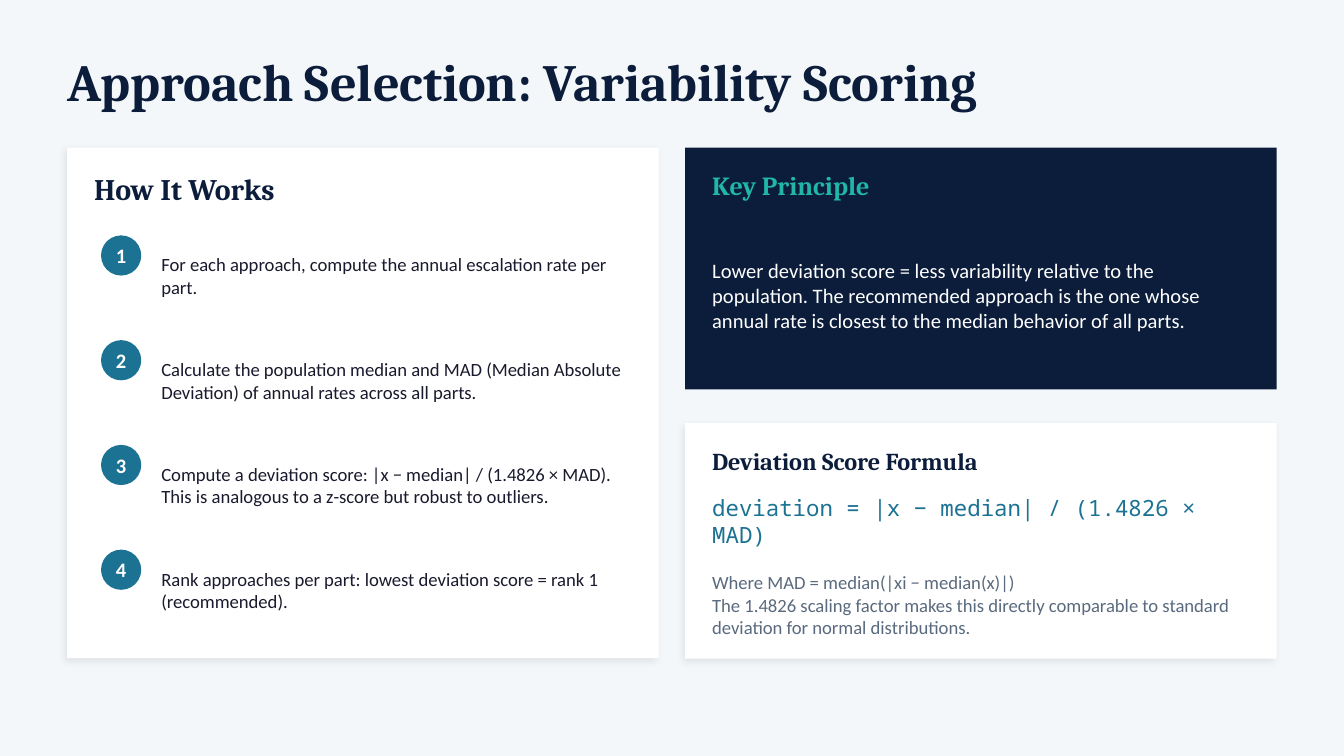
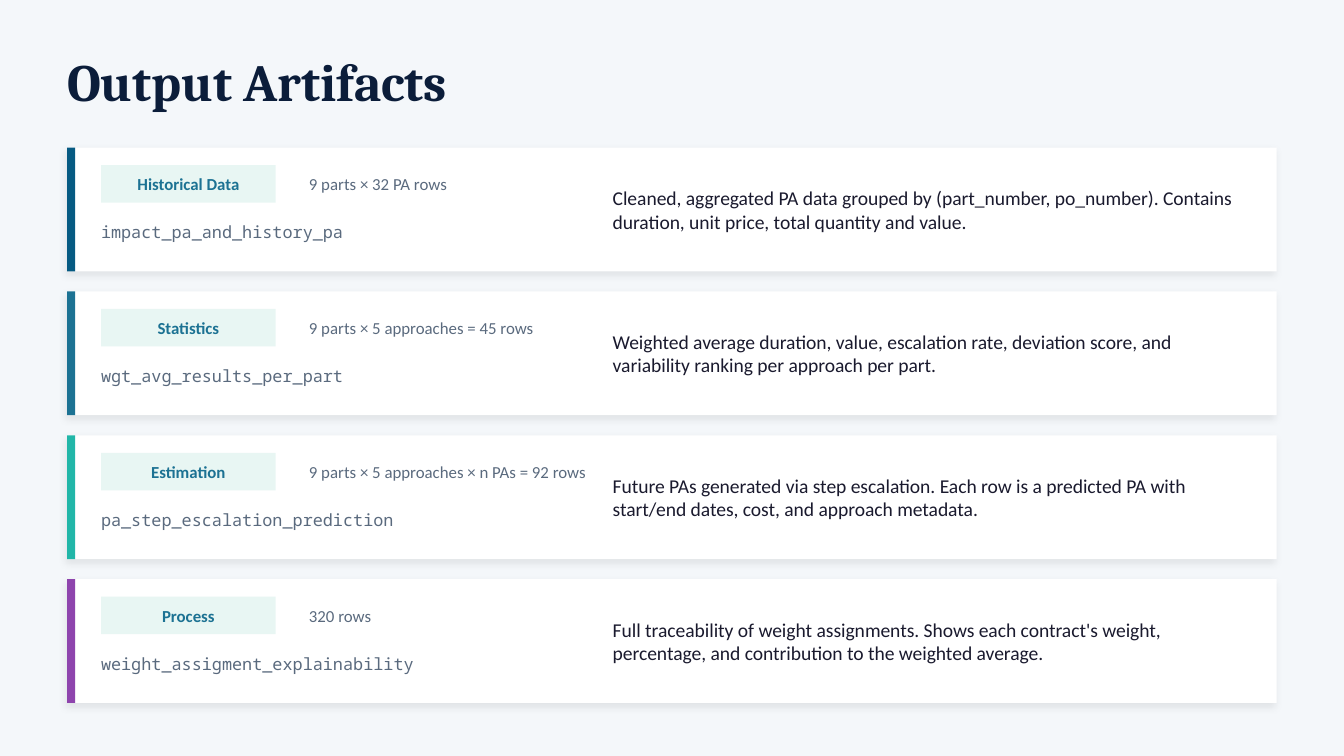
from lxml import etree
from pptx import Presentation
from pptx import util as u
from pptx.dml.color import RGBColor
from pptx.enum import shapes, text
from pptx.oxml import ns

NAVY = RGBColor(0x0B, 0x1D, 0x3A)
OCEAN = RGBColor(0x06, 0x5A, 0x82)
BLUE = RGBColor(0x1C, 0x72, 0x93)
TEAL = RGBColor(0x21, 0xB6, 0xA8)
PURPLE = RGBColor(0x8E, 0x44, 0xAD)
MINT = RGBColor(0xE8, 0xF6, 0xF3)
INK = RGBColor(0x1A, 0x1A, 0x2E)
SLATE = RGBColor(0x5A, 0x6A, 0x7E)
MIST = RGBColor(0xF4, 0xF7, 0xFA)
WHITE = RGBColor(0xFF, 0xFF, 0xFF)

SERIF, SANS, MONO = "Cambria", "Calibri", "Noto Sans Mono"

TOP = 2.79
LEFT = 1.27
FULL_WIDTH = 22.86
COLUMN_WIDTH = 11.18
RIGHT = 12.95
TEXT_WIDTH = 10.16
PADDING = 0.51

STEPS = [
    "For each approach, compute the annual escalation rate per part.",
    "Calculate the population median and MAD (Median Absolute Deviation) "
    "of annual rates across all parts.",
    "Compute a deviation score: |x − median| / (1.4826 × MAD). "
    "This is analogous to a z-score but robust to outliers.",
    "Rank approaches per part: lowest deviation score = rank 1 (recommended).",
]

ARTIFACTS = [
    (OCEAN, "Historical Data", "impact_pa_and_history_pa", "9 parts × 32 PA rows",
     "Cleaned, aggregated PA data grouped by (part_number, po_number). "
     "Contains duration, unit price, total quantity and value."),
    (BLUE, "Statistics", "wgt_avg_results_per_part", "9 parts × 5 approaches = 45 rows",
     "Weighted average duration, value, escalation rate, deviation score, "
     "and variability ranking per approach per part."),
    (TEAL, "Estimation", "pa_step_escalation_prediction",
     "9 parts × 5 approaches × n PAs = 92 rows",
     "Future PAs generated via step escalation. Each row is a predicted PA "
     "with start/end dates, cost, and approach metadata."),
    (PURPLE, "Process", "weight_assigment_explainability", "320 rows",
     "Full traceability of weight assignments. Shows each contract's weight, "
     "percentage, and contribution to the weighted average."),
]


def style(name, size, color, bold=False):
    return {"name": name, "size": u.Pt(size), "bold": bold, "color": color}


class Builder:
    title_style = style(SERIF, 28, NAVY, True)
    badge_style = style(SANS, 11, WHITE, True)
    tag_style = style(SANS, 9, BLUE, True)

    def __init__(self):
        self.deck = Presentation()
        self.deck.slide_width = u.Cm(25.4)
        self.deck.slide_height = u.Cm(14.29)
        self.page = None

    def new_page(self, title):
        self.page = self.deck.slides.add_slide(self.deck.slide_layouts[6])
        background = self.page.background.fill
        background.solid()
        background.fore_color.rgb = MIST
        self.label(LEFT, 0.76, FULL_WIDTH, 1.52, title, self.title_style)

    def fill_text(self, box, content, look, align=text.PP_ALIGN.LEFT, inset=0):
        frame = box.text_frame
        settings = {"word_wrap": True, "vertical_anchor": text.MSO_ANCHOR.MIDDLE}
        for side in ("left", "top", "right", "bottom"):
            settings[f"margin_{side}"] = u.Cm(inset)
        for key, value in settings.items():
            setattr(frame, key, value)
        for index, line in enumerate(content.split("\n")):
            para = frame.add_paragraph() if index else frame.paragraphs[0]
            para.alignment = align
            span = para.add_run()
            span.text = line
            for key, value in look.items():
                if key == "color":
                    span.font.color.rgb = value
                else:
                    setattr(span.font, key, value)

    def label(self, left, top, width, height, content, look, inset=0):
        box = self.page.shapes.add_textbox(*map(u.Cm, (left, top, width, height)))
        self.fill_text(box, content, look, inset=inset)

    def block(self, left, top, width, height, fill, kind=shapes.MSO_SHAPE.RECTANGLE):
        box = self.page.shapes.add_shape(kind, *map(u.Cm, (left, top, width, height)))
        box.shadow.inherit = False
        box.fill.solid()
        box.fill.fore_color.rgb = fill
        box.line.fill.background()
        return box

    def card(self, left, top, width, height):
        box = self.block(left, top, width, height, WHITE)
        effects = box.element.spPr.find(ns.qn("a:effectLst"))
        shadow = etree.SubElement(
            effects, ns.qn("a:outerShdw"), blurRad=str(u.Pt(4)), dist=str(u.Pt(2)),
            dir=str(135 * 60000), algn="bl", rotWithShape="0")
        tint = etree.SubElement(shadow, ns.qn("a:srgbClr"), val="000000")
        etree.SubElement(tint, ns.qn("a:alpha"), val="8000")

    def badge(self, left, top, size, number):
        box = self.block(left, top, size, size, BLUE, shapes.MSO_SHAPE.OVAL)
        self.fill_text(box, str(number), self.badge_style, text.PP_ALIGN.CENTER)

    def tag(self, left, top, width, height, content):
        box = self.block(left, top, width, height, MINT)
        self.fill_text(box, content, self.tag_style, text.PP_ALIGN.CENTER)


def build_scoring(builder):
    builder.new_page("Approach Selection: Variability Scoring")

    builder.card(LEFT, TOP, COLUMN_WIDTH, 9.65)
    builder.label(LEFT + PADDING, 3.05, TEXT_WIDTH, 1.02, "How It Works",
                  style(SERIF, 16, NAVY, True))
    for index, step in enumerate(STEPS):
        top = 4.32 + index * 1.98
        builder.badge(1.91, top + 0.13, 0.76, index + 1)
        builder.label(3.05, top, 8.89, 1.78, step, style(SANS, 10, INK))

    builder.block(RIGHT, TOP, COLUMN_WIDTH, 4.57, NAVY)
    builder.card(RIGHT, 8, COLUMN_WIDTH, 4.45)
    passages = [
        (3.05, 0.89, "Key Principle", style(SERIF, 14, TEAL, True)),
        (4.06, 3.05,
         "Lower deviation score = less variability relative to the population. "
         "The recommended approach is the one whose annual rate is closest to "
         "the median behavior of all parts.", style(SANS, 11, WHITE)),
        (8.26, 0.89, "Deviation Score Formula", style(SERIF, 13, NAVY, True)),
        (9.4, 0.89, "deviation = |x − median| / (1.4826 × MAD)", style(MONO, 12, BLUE)),
        (10.54, 1.78,
         "Where MAD = median(|xi − median(x)|)\n"
         "The 1.4826 scaling factor makes this directly comparable to standard "
         "deviation for normal distributions.", style(SANS, 10, SLATE)),
    ]
    for top, height, content, look in passages:
        builder.label(RIGHT + PADDING, top, TEXT_WIDTH, height, content, look)


def build_artifacts(builder):
    builder.new_page("Output Artifacts")
    height = 2.34
    for index, (accent, kind, name, count, description) in enumerate(ARTIFACTS):
        top = TOP + index * 2.72
        builder.card(LEFT, top, FULL_WIDTH, height)
        builder.block(LEFT, top, 0.15, height, accent)
        builder.tag(1.91, top + 0.33, 3.3, 0.71, kind)
        builder.label(1.91, top + 1.22, 6.35, 0.76, name, style(MONO, 9, SLATE))
        builder.label(5.84, top + 0.33, 5.59, 0.71, count, style(SANS, 9, SLATE))
        builder.label(11.43, top, 12.19, height, description,
                      style(SANS, 10.5, INK), inset=0.15)


def main():
    builder = Builder()
    build_scoring(builder)
    build_artifacts(builder)
    builder.deck.save("out.pptx")


if __name__ == "__main__":
    main()
